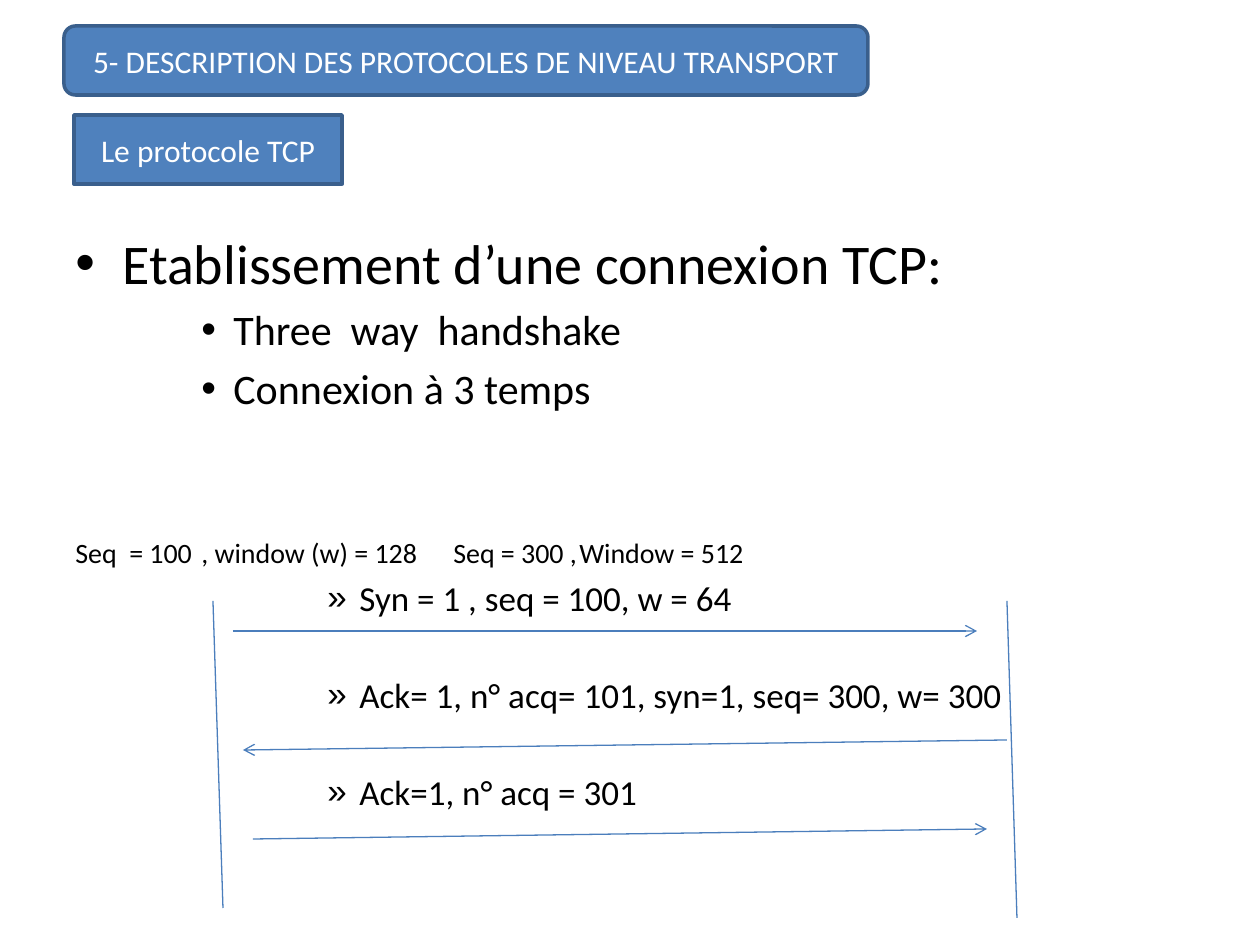
from lxml.etree import SubElement
from pptx import Presentation
from pptx.dml.color import RGBColor
from pptx.enum.shapes import MSO_CONNECTOR, MSO_SHAPE
from pptx.enum.text import MSO_ANCHOR, PP_ALIGN
from pptx.oxml.ns import qn
from pptx.util import Emu, Pt

PX_PER_INCH = 126
FONT = "Calibri"
BLACK = RGBColor(0x00, 0x00, 0x00)
WHITE = RGBColor(0xFF, 0xFF, 0xFF)
BLUE = RGBColor(0x4F, 0x81, 0xBD)
DARK_BLUE = RGBColor(0x3A, 0x5F, 0x8C)
LINE_BLUE = RGBColor(0x4B, 0x7E, 0xBC)


def px(n):
    return Emu(round(n * 914400 / PX_PER_INCH))


class SlideBuilder:
    def __init__(self, prs):
        self.s = prs.slides.add_slide(prs.slide_layouts[6])

    def add_run(self, p, text, size, color):
        r = p.add_run()
        r.text = text
        for name, value in {"name": FONT, "size": Pt(size)}.items():
            setattr(r.font, name, value)
        r.font.color.rgb = color

    def banner(self, kind, box, text):
        sp = self.s.shapes.add_shape(kind, *map(px, box))
        sp.shadow.inherit = False
        sp.fill.solid()
        sp.fill.fore_color.rgb = BLUE
        sp.line.color.rgb = DARK_BLUE
        sp.line.width = Pt(2)
        tf = sp.text_frame
        for name, value in {"word_wrap": True, "vertical_anchor": MSO_ANCHOR.MIDDLE}.items():
            setattr(tf, name, value)
        p = tf.paragraphs[0]
        p.alignment = PP_ALIGN.CENTER
        self.add_run(p, text, 18, WHITE)

    def outline(self, box, items):
        tf = self.s.shapes.add_textbox(*map(px, box)).text_frame
        tf.word_wrap = True
        for i, (text, size, before, bullet, margin, hang, tabs) in enumerate(items):
            p = tf.paragraphs[0] if i == 0 else tf.add_paragraph()
            pPr = p._p.get_or_add_pPr()
            for name, value in {"marL": px(margin), "indent": -px(hang)}.items():
                pPr.set(name, str(value))
            if bullet:
                SubElement(pPr, qn("a:buFont"), typeface="Arial")
                SubElement(pPr, qn("a:buChar"), char=bullet)
            else:
                SubElement(pPr, qn("a:buNone"))
            if tabs:
                tab_list = SubElement(pPr, qn("a:tabLst"))
                for pos in tabs:
                    SubElement(tab_list, qn("a:tab"), pos=str(px(pos)), algn="l")
            p.space_before = Pt(before)
            self.add_run(p, text, size, BLACK)

    def line(self, x1, y1, x2, y2, arrow=False):
        c = self.s.shapes.add_connector(MSO_CONNECTOR.STRAIGHT, *map(px, (x1, y1, x2, y2)))
        c.line.color.rgb = LINE_BLUE
        c.line.width = Pt(0.75)
        if arrow:
            SubElement(c.line._get_or_add_ln(), qn("a:tailEnd"), type="arrow")
        SubElement(c._element.spPr, qn("a:effectLst"))


def main():
    prs = Presentation()
    prs.slide_width, prs.slide_height = px(1260), px(945)
    slide = SlideBuilder(prs)

    # Outline: text, size, space before, bullet, margin, hanging indent, tabs
    topic = ("•", 47, 47, ())
    detail = ("•", 158, 32, ())
    message = ("»", 284, 32, ())
    columns = (None, 0, 0, (173, 822, 971))
    slide.outline((63, 222, 1197, 723), [
        ("Etablissement d’une connexion TCP:", 32, 0, *topic),
        ("Three  way  handshake", 24, 4.8, *detail),
        ("Connexion à 3 temps", 24, 4.8, *detail),
        ("Seq  = 100\t, window (w) = 128\tSeq = 300 ,\tWindow = 512", 16, 70, *columns),
        ("Syn = 1 , seq = 100, w = 64", 20, 4, *message),
        ("Ack= 1, n° acq= 101, syn=1, seq= 300, w= 300", 20, 31.6, *message),
        ("Ack=1, n° acq = 301", 20, 31.6, *message),
    ])

    # Headings
    slide.banner(MSO_SHAPE.ROUNDED_RECTANGLE, (64, 26, 804, 69),
                 "5- DESCRIPTION DES PROTOCOLES DE NIVEAU TRANSPORT")
    slide.banner(MSO_SHAPE.RECTANGLE, (74, 115, 268, 69), "Le protocole TCP")

    # Time lines of the two hosts
    for ends in ((213, 601, 223, 908), (1007, 601, 1017, 918)):
        slide.line(*ends)

    # Messages exchanged
    for ends in ((233, 631, 977, 631), (1007, 740, 243, 750), (253, 839, 987, 829)):
        slide.line(*ends, arrow=True)

    prs.save("out.pptx")


if __name__ == "__main__":
    main()
